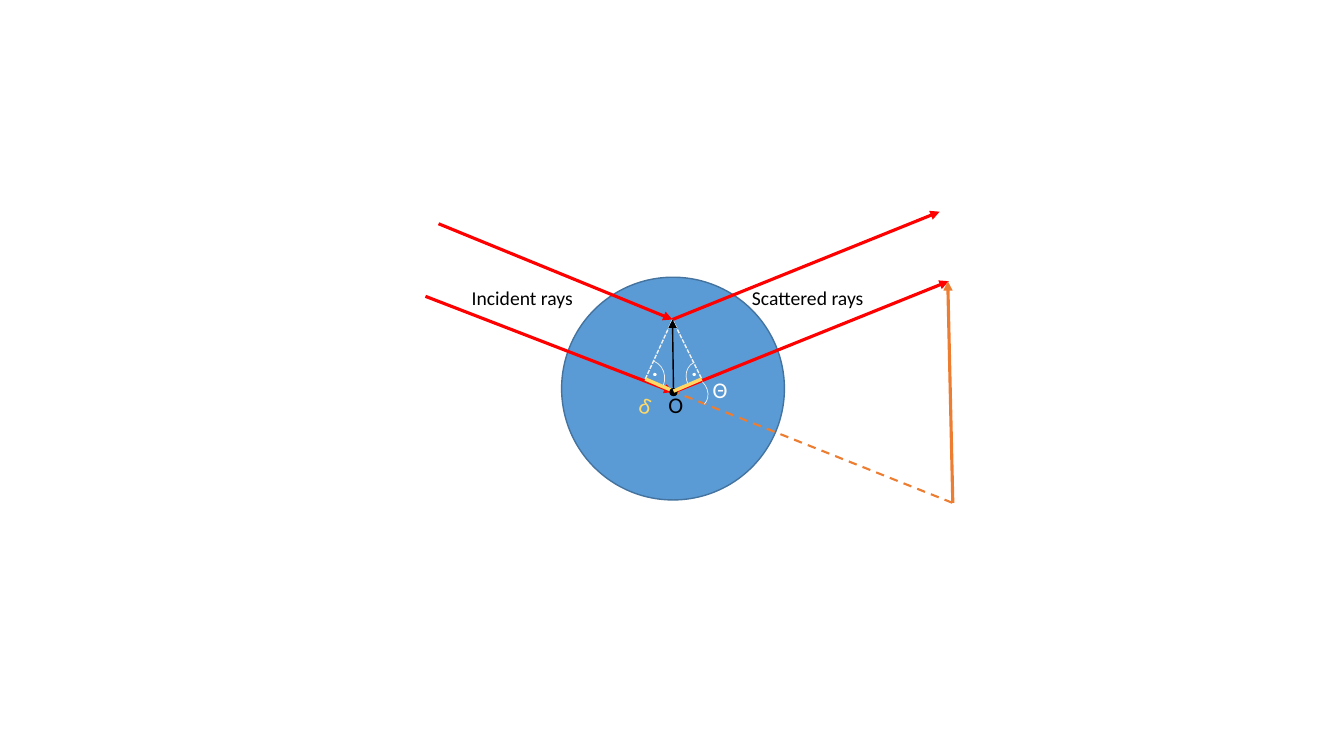
"""Draw the ray geometry of light scattered by a sphere."""
from dataclasses import dataclass
from typing import Optional

from lxml import etree
from pptx import Presentation
from pptx.dml.color import RGBColor
from pptx.enum.dml import MSO_LINE
from pptx.enum.shapes import MSO_CONNECTOR, MSO_SHAPE
from pptx.enum.text import MSO_ANCHOR, MSO_AUTO_SIZE
from pptx.oxml.ns import qn
from pptx.util import Inches, Pt

STRAIGHT = MSO_CONNECTOR.STRAIGHT
OVAL, ARC = MSO_SHAPE.OVAL, MSO_SHAPE.ARC
DASH, SHORT_DASH = MSO_LINE.DASH, MSO_LINE.SQUARE_DOT
TOP, FIT_SHAPE = MSO_ANCHOR.TOP, MSO_AUTO_SIZE.SHAPE_TO_FIT_TEXT

COLORS = {
    "sphere": "5B9BD5", "rim": "43739E", "ray": "FF0000", "normal": "F2F2F2",
    "path": "FFD966", "transfer": "ED7D31", "ink": "000000", "white": "FFFFFF",
}
FONT = "Calibri"

CENTER = (6.68, 3.89)
SCATTERER = (6.67, 3.17)
LEFT_FOOT, RIGHT_FOOT = (6.4, 3.76), (6.96, 3.76)
FORWARD_END = (9.45, 4.99)


@dataclass
class Segment:
    """A straight line with optional dash and end marks."""
    start: tuple[float, float]
    end: tuple[float, float]
    color: str
    width: float
    dash: Optional[MSO_LINE] = None
    head: str = ""
    tail: str = ""


@dataclass
class Disc:
    """A filled circle."""
    left: float
    top: float
    size: float
    fill: str
    outline: str


@dataclass
class AngleArc:
    """A thin arc marking an angle."""
    box: tuple[float, float, float, float]
    rotation: float
    flipped: bool = False


@dataclass
class Label:
    """A one-line caption."""
    text: str
    box: tuple[float, float, float, float]
    size: int
    color: str
    rotation: float = 0


def rgb(name: str) -> RGBColor:
    """Return the named colour."""
    return RGBColor.from_string(COLORS[name])


def draw_segment(shapes, segment: Segment) -> None:
    """Draw a line with its dash and end marks."""
    ends = [Inches(v) for v in (*segment.start, *segment.end)]
    connector = shapes.add_connector(STRAIGHT, *ends)
    connector.line.color.rgb = rgb(segment.color)
    connector.line.width = Pt(segment.width)
    if segment.dash is not None:
        connector.line.dash_style = segment.dash
    outline = connector.line._get_or_add_ln()
    for tag, mark in (("a:headEnd", segment.head), ("a:tailEnd", segment.tail)):
        if mark:
            etree.SubElement(outline, qn(tag), type=mark)
    etree.SubElement(connector._element.spPr, qn("a:effectLst"))


def draw_disc(shapes, disc: Disc) -> None:
    """Draw a filled circle."""
    circle = shapes.add_shape(OVAL, *map(Inches, (disc.left, disc.top, disc.size, disc.size)))
    circle.shadow.inherit = False
    circle.fill.solid()
    circle.fill.fore_color.rgb = rgb(disc.fill)
    circle.line.color.rgb = rgb(disc.outline)
    circle.line.width = Pt(1)


def draw_arc(shapes, angle: AngleArc) -> None:
    """Draw an angle mark."""
    arc = shapes.add_shape(ARC, *map(Inches, angle.box))
    arc.shadow.inherit = False
    arc.fill.background()
    arc.line.color.rgb = rgb("normal")
    arc.line.width = Pt(0.5)
    arc.rotation = angle.rotation
    if angle.flipped:
        arc._element.spPr.find(qn("a:xfrm")).set("flipH", "1")


def draw_label(shapes, label: Label) -> None:
    """Draw a caption that fits its text."""
    caption = shapes.add_textbox(*map(Inches, label.box))
    caption.rotation = label.rotation
    frame = caption.text_frame
    frame.text = label.text
    frame.word_wrap = False
    frame.auto_size = FIT_SHAPE
    frame.vertical_anchor = TOP
    font = frame.paragraphs[0].runs[0].font
    font.name = FONT
    font.size = Pt(label.size)
    font.color.rgb = rgb(label.color)


DIAGRAM = [
    Disc(5.57, 2.75, 2.21, "sphere", "rim"),
    Segment(SCATTERER, RIGHT_FOOT, "normal", 1, SHORT_DASH),
    Segment(SCATTERER, LEFT_FOOT, "normal", 1, SHORT_DASH),
    AngleArc((6.24, 3.57, 0.35, 0.39), 21.7),
    AngleArc((6.81, 3.58, 0.29, 0.34), 332.9, True),
    Disc(6.47, 3.69, 0.05, "white", "sphere"),
    Disc(6.86, 3.69, 0.05, "white", "sphere"),
    Label("O", (6.53, 3.83, 0.35, 0.37), 16, "ink"),
    Segment(SCATTERER, (9.32, 2.1), "ray", 2.25, tail="triangle"),
    Segment(SCATTERER, (4.35, 2.22), "ray", 2.25, head="triangle"),
    Segment(CENTER, (4.22, 2.94), "ray", 2.25, head="triangle"),
    Segment(CENTER, (9.41, 2.79), "ray", 2.25, tail="triangle"),
    Segment((6.52, 3.82), FORWARD_END, "transfer", 1.5, DASH),
    AngleArc((6.72, 3.72, 0.29, 0.34), 134.8, True),
    Label("Θ", (6.97, 3.68, 0.35, 0.37), 16, "white"),
    Label("Incident rays", (4.58, 2.79, 1.22, 0.34), 14, "ink"),
    Label("Scattered rays", (7.36, 2.79, 1.32, 0.34), 14, "ink"),
    Segment(LEFT_FOOT, (6.68, 3.88), "path", 2.5),
    Label("δ", (6.25, 3.84, 0.32, 0.37), 16, "path", 22.4),
    Segment(SCATTERER, CENTER, "ink", 1, head="triangle", tail="oval"),
    Segment((6.68, 3.88), RIGHT_FOOT, "path", 2.5),
    Segment(FORWARD_END, (9.4, 2.79), "transfer", 2.25, tail="triangle"),
]
PAINTERS = {Segment: draw_segment, Disc: draw_disc, AngleArc: draw_arc, Label: draw_label}


def main() -> None:
    """Build and save the slide."""
    deck = Presentation()
    deck.slide_width, deck.slide_height = Inches(13.33), Inches(7.5)
    slide = deck.slides.add_slide(deck.slide_layouts[6])
    for part in DIAGRAM:
        PAINTERS[type(part)](slide.shapes, part)
    deck.save("out.pptx")


if __name__ == "__main__":
    main()
